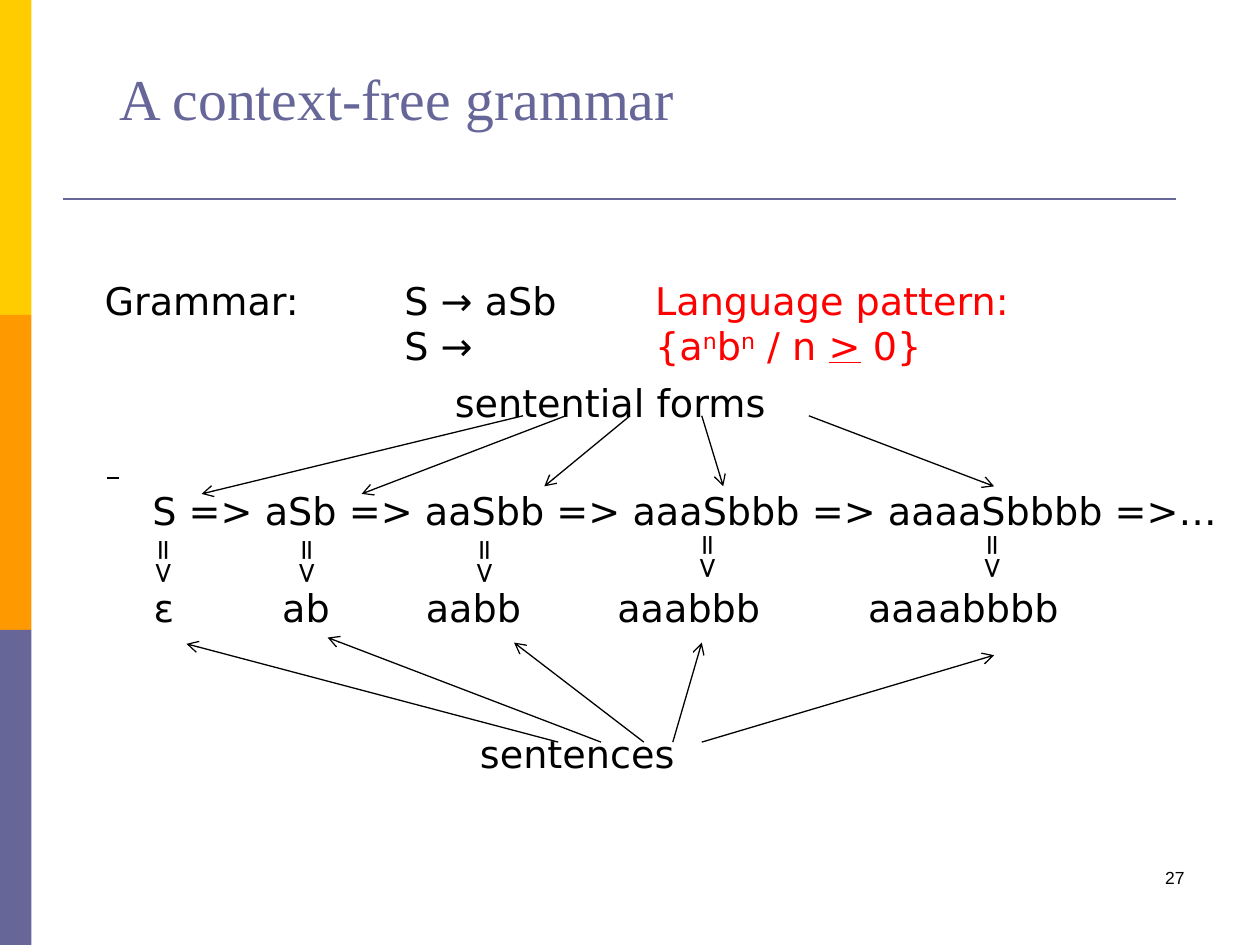
from pptx import Presentation
from pptx.dml.color import RGBColor
from pptx.enum.shapes import MSO_CONNECTOR, MSO_SHAPE
from pptx.enum.text import MSO_ANCHOR, PP_ALIGN
from pptx.oxml.ns import qn
from pptx.util import Inches, Pt
from lxml import etree

RECT = MSO_SHAPE.RECTANGLE
LINE = MSO_CONNECTOR.STRAIGHT
LEFT, MID, RIGHT = PP_ALIGN.LEFT, PP_ALIGN.CENTER, PP_ALIGN.RIGHT
TOP, BOTTOM = MSO_ANCHOR.TOP, MSO_ANCHOR.BOTTOM
BLACK, RED, SLATE = "000000", "FF0000", "666699"
BODY = "DejaVu Sans"

deck = Presentation()
deck.slide_width, deck.slide_height = Inches(10), Inches(7.5)
slide = deck.slides.add_slide(deck.slide_layouts[6])
shapes = slide.shapes


def add_text(place, runs, size=21.8, color=BLACK, font=BODY,
             align=LEFT, anchor=TOP, pad=(0, 0)):
    """Add a one-line box; runs are (text, mark), mark "u" or "sup" or None."""
    box = shapes.add_textbox(*map(Inches, place))
    frame = box.text_frame
    side, edge = map(Inches, pad)
    look = {"word_wrap": True, "vertical_anchor": anchor,
            "margin_left": side, "margin_right": side,
            "margin_top": edge, "margin_bottom": edge}
    for name, value in look.items():
        setattr(frame, name, value)
    para = frame.paragraphs[0]
    para.alignment = align
    for text, mark in runs:
        run = para.add_run()
        run.text = text
        form = {"size": Pt(size), "name": font, "underline": mark == "u"}
        for name, value in form.items():
            setattr(run.font, name, value)
        run.font.color.rgb = RGBColor.from_string(color)
        if mark == "sup":
            run.font._element.set("baseline", "30000")
    return box


def add_line(start, end, color=BLACK, width=0.75, arrow=True):
    line = shapes.add_connector(LINE, *map(Inches, (*start, *end)))
    line.line.color.rgb = RGBColor.from_string(color)
    line.line.width = Pt(width)
    if arrow:
        tail = etree.SubElement(line.line._get_or_add_ln(), qn("a:tailEnd"))
        tail.set("type", "arrow")
    etree.SubElement(line._element.spPr, qn("a:effectLst"))


# Side bands and title rule
for i, color in enumerate(("FFCC00", "FF9900", SLATE)):
    band = shapes.add_shape(RECT, 0, Inches(2.5 * i), Inches(0.25), Inches(2.5))
    band.shadow.inherit = False
    band.fill.solid()
    band.fill.fore_color.rgb = RGBColor.from_string(color)
    band.line.fill.background()
add_line((0.5, 1.58), (9.33, 1.58), SLATE, 1.5, arrow=False)

add_text((0.95, 0.14, 7.47, 0.94), [("A context-free grammar", None)],
         33, SLATE, "Times New Roman", anchor=BOTTOM, pad=(0, 0.03))

# Grammar, language pattern and derivation
pattern = [("{a", None), ("n", "sup"), ("b", None), ("n", "sup"),
           (" / n ", None), (">", "u"), (" 0}", None)]
rows = [
    (0.83, 2.2, 2, [("Grammar:", None)], BLACK),
    (3.21, 2.2, 1.8, [("S → aSb", None)], BLACK),
    (3.21, 2.56, 1.8, [("S →", None)], BLACK),
    (5.2, 2.2, 3.5, [("Language pattern:", None)], RED),
    (5.2, 2.56, 3.5, pattern, RED),
    (3.61, 3.01, 3, [("sentential forms", None)], BLACK),
    (0.85, 3.48, 0.3, [(" ", "u")], BLACK),
    (1.21, 3.87, 8.7,
     [("S => aSb => aaSbb => aaaSbbb => aaaaSbbbb =>…", None)], BLACK),
    (3.81, 5.8, 2, [("sentences", None)], BLACK),
]
for x, y, wide, runs, color in rows:
    add_text((x, y, wide, 0.36), runs, color=color)

# Sentences, each below a turned derivation sign
words = [("ε", 1.22, 1.31, 4.46), ("ab", 2.24, 2.45, 4.46),
         ("aabb", 3.38, 3.86, 4.46), ("aaabbb", 4.9, 5.63, 4.42),
         ("aaaabbbb", 6.89, 7.89, 4.42)]
for word, x, mid, y in words:
    add_text((x, 4.64, 1.8, 0.36), [(word, None)])
    sign = add_text((mid - 0.35, y - 0.19, 0.7, 0.38), [("=>", None)],
                    16.3, align=MID, pad=(0.1, 0.05))
    sign.rotation = 90

# Arrows from the two labels
forms = [(4.15, 1.6, 3.92), (4.49, 2.87, 3.92), (5, 4.32, 3.86),
         (5.57, 5.74, 3.86), (6.42, 7.89, 3.86)]
ends = [(4.43, 1.48, 5.11), (4.77, 2.6, 5.06), (5.11, 4.08, 5.1),
        (5.34, 5.57, 5.1), (5.57, 7.89, 5.2)]
for y, fan in ((3.3, forms), (5.89, ends)):
    for x, tip, level in fan:
        add_line((x, y), (tip, level))

add_text((7.17, 6.83, 2.33, 0.5), [("27", None)], 10, font="Arial",
         align=RIGHT, pad=(0.1, 0.05))

deck.save("out.pptx")
